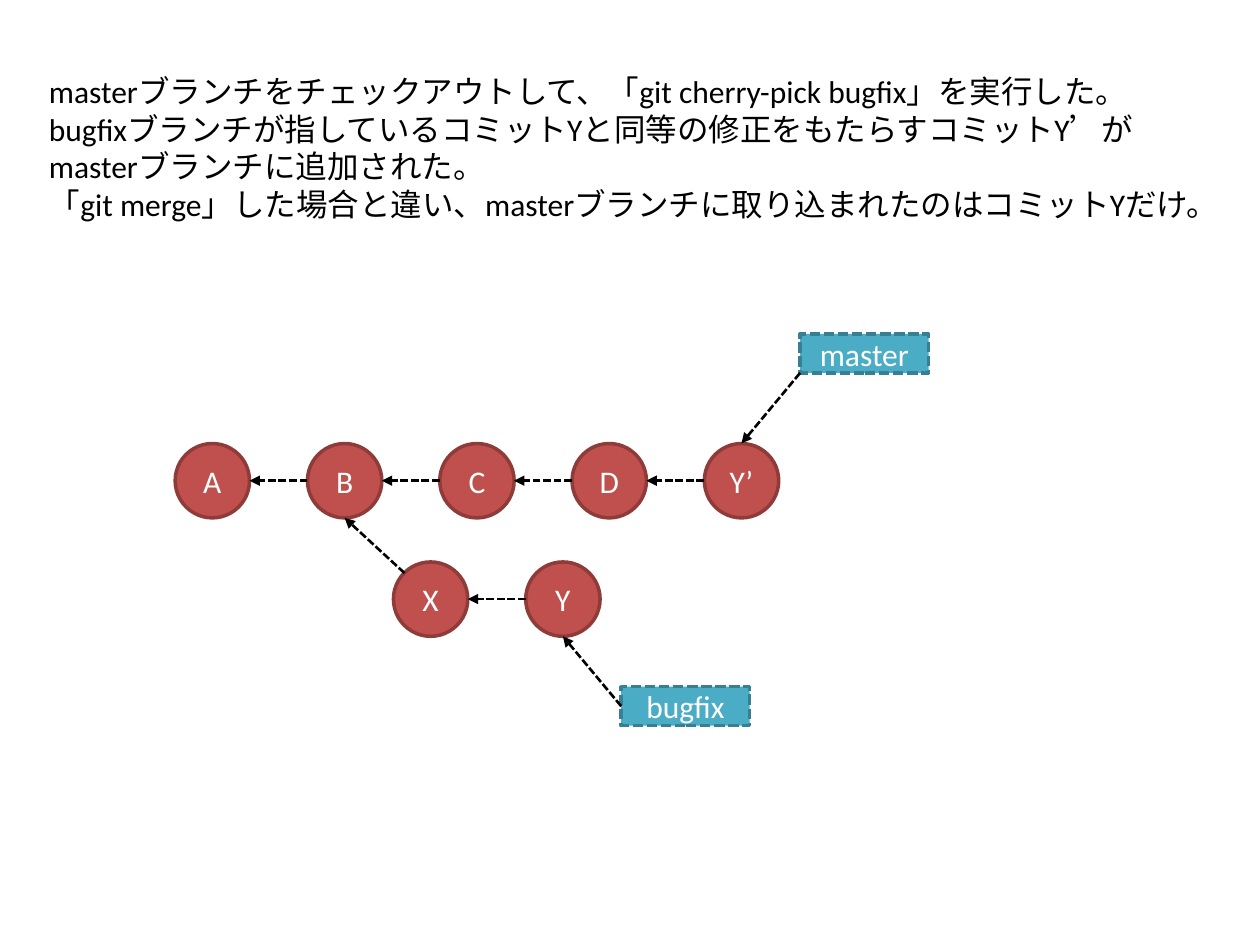
from dataclasses import dataclass

import pptx
import pptx.util
import pptx.dml.color
import pptx.enum.dml
import pptx.enum.shapes
import pptx.enum.text
import pptx.oxml.ns
from lxml import etree

RGB = pptx.dml.color.RGBColor
SHAPE = pptx.enum.shapes.MSO_SHAPE
ALIGN = pptx.enum.text.PP_ALIGN
DASH = pptx.enum.dml.MSO_LINE.SQUARE_DOT
Inches, Pt, qn = pptx.util.Inches, pptx.util.Pt, pptx.oxml.ns.qn

BLACK = RGB(0x00, 0x00, 0x00)
WHITE = RGB(0xFF, 0xFF, 0xFF)
RED = RGB(0xC0, 0x50, 0x4D)
DARK_RED = RGB(0x8E, 0x3B, 0x39)
TEAL = RGB(0x4B, 0xAC, 0xC6)
DARK_TEAL = RGB(0x37, 0x7F, 0x92)

# Commit grid, in inches
LEFT, TOP = 1.39, 3.52
COL, ROW = 1.05, 0.94
DIAMETER = 0.59
LABEL_W, LABEL_H = 1.02, 0.31


@dataclass(frozen=True)
class Node:
    text: str
    x: float
    y: float
    w: float
    h: float

    def at(self, share: tuple[float, float]) -> tuple[float, float]:
        return self.x + self.w * share[0], self.y + self.h * share[1]


@dataclass(frozen=True)
class Arrow:
    start: str
    end: str
    start_share: tuple[float, float] = (0, 0.5)
    end_share: tuple[float, float] = (1, 0.5)


def commit(text: str, col: float, row: int) -> Node:
    return Node(text, LEFT + col * COL, TOP + row * ROW, DIAMETER, DIAMETER)


def branch(text: str, x: float, y: float) -> Node:
    return Node(text, x, y, LABEL_W, LABEL_H)


COMMITS = [commit(t, i, 0) for i, t in enumerate(["A", "B", "C", "D", "Y’"])]
COMMITS += [commit(t, 1.65 + i, 1) for i, t in enumerate("XY")]
BRANCHES = [branch("master", 6.35, 2.65), branch("bugfix", 4.93, 5.45)]
NODES = {n.text: n for n in COMMITS + BRANCHES}

ARROWS = [
    Arrow("B", "A"), Arrow("C", "B"), Arrow("D", "C"), Arrow("Y’", "D"),
    Arrow("Y", "X"),
    Arrow("X", "B", (0.15, 0.15), (0.5, 1)),
    Arrow("master", "Y’", (0, 1), (0.5, 0)),
    Arrow("bugfix", "Y", (0, 0.5), (0.5, 1)),
]

EXPLANATION = [
    "masterブランチをチェックアウトして、「git cherry-pick bugfix」を実行した。",
    "bugfixブランチが指しているコミットYと同等の修正をもたらすコミットY’がmasterブランチに追加された。",
    "「git merge」した場合と違い、masterブランチに取り込まれたのはコミットYだけ。",
]


def add_run(p, text: str, color: RGB) -> None:
    r = p.add_run()
    r.text = text
    r.font.name, r.font.size = "Calibri", Pt(18)
    r.font.color.rgb = color


def add_node(s, node: Node, kind: SHAPE, fill: RGB, line: RGB, dash=None) -> None:
    sp = s.shapes.add_shape(kind, *map(Inches, (node.x, node.y, node.w, node.h)))
    sp.shadow.inherit = False
    sp.fill.solid()
    sp.fill.fore_color.rgb = fill
    sp.line.color.rgb = line
    sp.line.width = Pt(2)
    if dash:
        sp.line.dash_style = dash
    tf = sp.text_frame
    tf.vertical_anchor = pptx.enum.text.MSO_ANCHOR.MIDDLE
    p = tf.paragraphs[0]
    p.alignment = ALIGN.CENTER
    add_run(p, node.text, WHITE)


def add_arrow(s, arrow: Arrow) -> None:
    ends = (NODES[arrow.start].at(arrow.start_share)
            + NODES[arrow.end].at(arrow.end_share))
    cx = s.shapes.add_connector(
        pptx.enum.shapes.MSO_CONNECTOR.STRAIGHT, *map(Inches, ends))
    cx.line.color.rgb = BLACK
    cx.line.width = Pt(1.5)
    cx.line.dash_style = DASH
    etree.SubElement(cx.line._get_or_add_ln(), qn("a:tailEnd"), type="triangle")
    etree.SubElement(cx._element.spPr, qn("a:effectLst"))


def add_explanation(s) -> None:
    sp = s.shapes.add_textbox(*map(Inches, (0.29, 0.52, 9.43, 1.31)))
    tf = sp.text_frame
    tf.word_wrap = True
    tf.auto_size = pptx.enum.text.MSO_AUTO_SIZE.SHAPE_TO_FIT_TEXT
    for i, text in enumerate(EXPLANATION):
        p = tf.add_paragraph() if i else tf.paragraphs[0]
        add_run(p, text, BLACK)


prs = pptx.Presentation()
prs.slide_width, prs.slide_height = Inches(10), Inches(7.5)
s = prs.slides.add_slide(prs.slide_layouts[6])

# Explanation, commits, branch labels, then parent and branch arrows
add_explanation(s)
for node in COMMITS:
    add_node(s, node, SHAPE.OVAL, RED, DARK_RED)
for node in BRANCHES:
    add_node(s, node, SHAPE.RECTANGLE, TEAL, DARK_TEAL, DASH)
for arrow in ARROWS:
    add_arrow(s, arrow)

prs.save("out.pptx")
